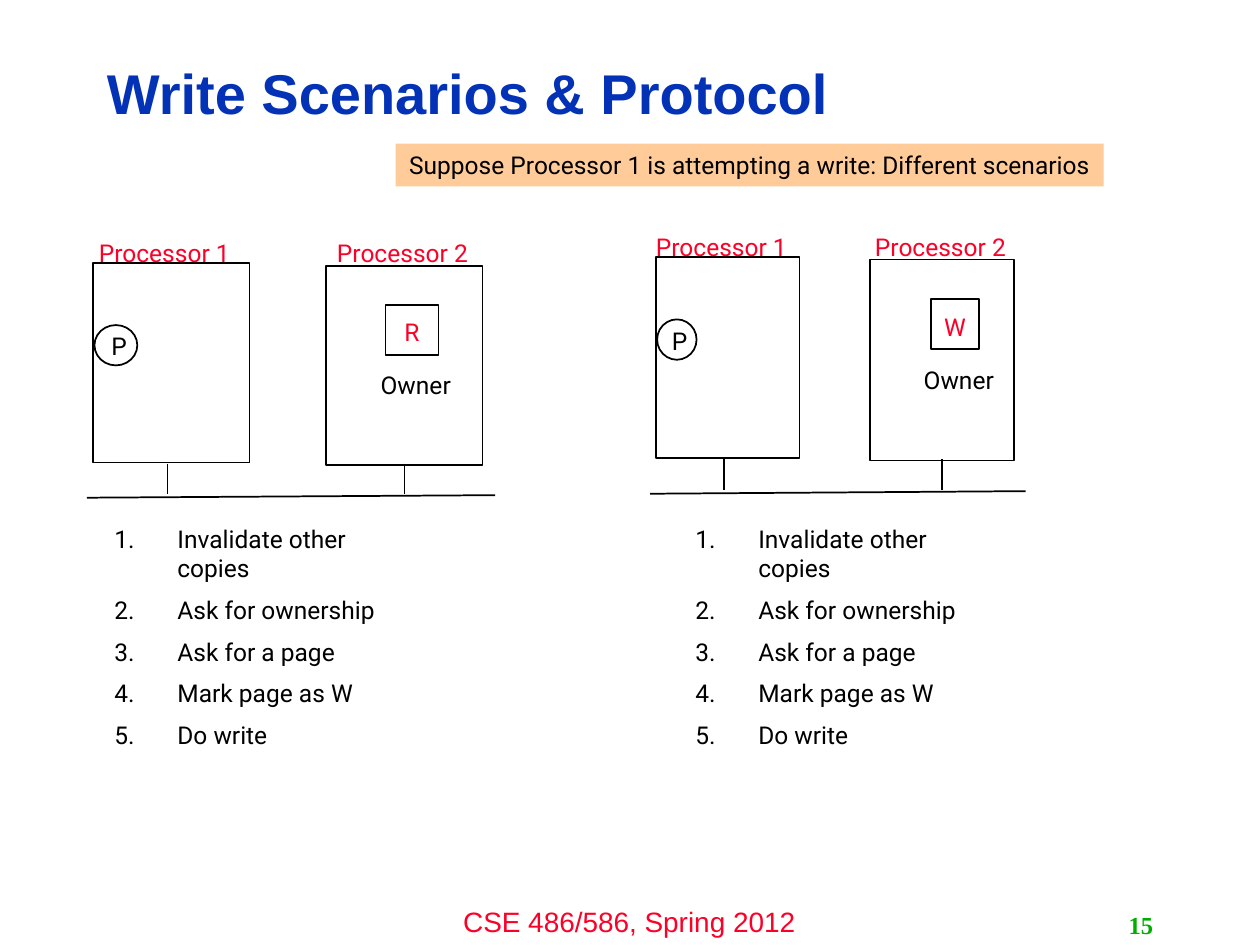
from dataclasses import dataclass

from lxml.etree import SubElement
from pptx import Presentation
from pptx.dml.color import RGBColor
from pptx.enum.shapes import MSO_CONNECTOR as Connector, MSO_SHAPE as Shape
from pptx.enum.text import MSO_ANCHOR as Anchor, PP_ALIGN as Align
from pptx.oxml.ns import qn
from pptx.util import Inches, Pt

COLUMNS, ROWS = 100, 75
SLIDE_WIDTH, SLIDE_HEIGHT = Inches(10), Inches(7.5)
LABEL_HEIGHT = 3.4
STEPS = ["Invalidate other copies", "Ask for ownership", "Ask for a page",
         "Mark page as W", "Do write"]


@dataclass(frozen=True)
class Theme:
    """Colours, fonts and type sizes of the slide."""
    black: str = "000000"
    red: str = "FC0128"
    blue: str = "0332B7"
    green: str = "00AE00"
    peach: str = "FFCC99"
    heading_font: str = "Arial"
    body_font: str = "Roboto"
    number_font: str = "Times New Roman"
    title_size: int = 32
    footer_size: int = 16
    body_size: int = 14
    line_width: int = 1
    step_gap: int = 7


@dataclass(frozen=True)
class Scenario:
    """One two-processor diagram: its place, stretch and page state."""
    left: float
    top: float
    stretch_x: float
    stretch_y: float
    page_center: float
    page_state: str
    steps_left: float

    def x(self, offset):
        """Column of an offset within the diagram."""
        return self.left + offset * self.stretch_x

    def y(self, offset):
        """Row of an offset within the diagram."""
        return self.top + offset * self.stretch_y


THEME = Theme()
SCENARIOS = [Scenario(6.9, 20.9, 1, 1, 32.7, "R", 8.1),
             Scenario(51.6, 20.4, 0.92, 1.01, 75.8, "W", 54.2)]


def grid(*lengths):
    """Turn alternating columns and rows into slide lengths."""
    units = (SLIDE_WIDTH / COLUMNS, SLIDE_HEIGHT / ROWS)
    return [round(length * units[i % 2]) for i, length in enumerate(lengths)]


def style(paragraph, size=THEME.body_size, font=THEME.body_font,
          color=THEME.black, bold=False, align=Align.CENTER):
    """Set the font and alignment of a paragraph."""
    paragraph.alignment = align
    paragraph.font.size = Pt(size)
    paragraph.font.name = font
    paragraph.font.bold = bold
    paragraph.font.color.rgb = RGBColor.from_string(color)


def add_text(shapes, text, box, anchor=Anchor.TOP, wrap=False, **look):
    """Add a one-paragraph text box and return its paragraph."""
    frame = shapes.add_textbox(*grid(*box)).text_frame
    frame.word_wrap = wrap
    frame.vertical_anchor = anchor
    paragraph = frame.paragraphs[0]
    paragraph.text = text
    style(paragraph, **look)
    return paragraph


def add_label(shapes, text, center, top, color=THEME.black):
    """Add a short label centred on a column."""
    width = 14
    add_text(shapes, text, (center - width / 2, top, width, LABEL_HEIGHT), color=color)


def add_outline(shapes, kind, box):
    """Add an unfilled shape with a thin black outline."""
    shape = shapes.add_shape(kind, *grid(*box))
    shape.shadow.inherit = False
    shape.fill.background()
    shape.line.color.rgb = RGBColor.from_string(THEME.black)
    shape.line.width = Pt(THEME.line_width)


def add_line(shapes, start, end):
    """Add a thin black straight line."""
    line = shapes.add_connector(Connector.STRAIGHT, *grid(*start, *end))
    line.line.color.rgb = RGBColor.from_string(THEME.black)
    line.line.width = Pt(THEME.line_width)
    SubElement(line._element.spPr, qn("a:effectLst"))


def add_banner(shapes, text, box):
    """Add a filled strip with centred text."""
    banner = shapes.add_shape(Shape.RECTANGLE, *grid(*box))
    banner.shadow.inherit = False
    banner.fill.solid()
    banner.fill.fore_color.rgb = RGBColor.from_string(THEME.peach)
    banner.line.fill.background()
    banner.text_frame.word_wrap = False
    banner.text_frame.text = text
    style(banner.text_frame.paragraphs[0])


def add_steps(shapes, left):
    """Add the numbered protocol steps."""
    frame = shapes.add_textbox(*grid(left, 41.1, 26, 17.5)).text_frame
    frame.word_wrap = True
    for i, step in enumerate(STEPS):
        paragraph = frame.add_paragraph() if i else frame.paragraphs[0]
        paragraph.text = step
        style(paragraph, align=Align.LEFT)
        if i:
            paragraph.space_before = Pt(THEME.step_gap)
        properties = paragraph._p.get_or_add_pPr()
        properties.set("marL", str(Inches(0.5)))
        properties.set("indent", str(-Inches(0.5)))
        SubElement(properties, qn("a:buFont"), typeface="+mj-lt")
        SubElement(properties, qn("a:buAutoNum"), type="arabicPeriod")


def add_diagram(slide, scenario):
    """Draw two processors on a bus, with the owner's page."""
    shapes = slide.shapes.add_group_shape().shapes
    x, y = scenario.x, scenario.y
    stretch_x, stretch_y = scenario.stretch_x, scenario.stretch_y
    processors = [("Processor 1", 0.5, 0, 6.4, 6.15),
                  ("Processor 2", 19, 0.2, 25.2, 25.05)]
    for name, left, top, stem, name_center in processors:
        add_outline(shapes, Shape.RECTANGLE,
                    (x(left), y(top), 12.4 * stretch_x, 15.8 * stretch_y))
        add_line(shapes, (x(stem), y(15.9)), (x(stem), y(18.3)))
        add_label(shapes, name, x(name_center), scenario.top - 2.5, THEME.red)
    add_line(shapes, (x(0), y(18.6)), (x(32.4), y(18.4)))

    add_outline(shapes, Shape.OVAL, (x(0.6), y(4.9), 3.4 * stretch_x, 3.2))
    add_label(shapes, "P", x(2.55), y(4.9))

    page_width = 4.2 * stretch_x
    center = scenario.page_center
    add_outline(shapes, Shape.RECTANGLE, (center - page_width / 2, y(3.3), page_width, 4))
    add_label(shapes, scenario.page_state, center, y(3.8), THEME.red)
    add_label(shapes, "Owner", center + 0.3, y(8))


def main():
    """Build and save the slide."""
    presentation = Presentation()
    presentation.slide_width, presentation.slide_height = SLIDE_WIDTH, SLIDE_HEIGHT
    slide = presentation.slides.add_slide(presentation.slide_layouts[6])
    shapes = slide.shapes

    add_text(shapes, "CSE 486/586, Spring 2012", (33.3, 71.3, 33.3, 3.7),
             size=THEME.footer_size, font=THEME.heading_font, color=THEME.red)
    title = add_text(shapes, "Write Scenarios & Protocol", (7.5, 3.6, 79.8, 8.1),
                     anchor=Anchor.MIDDLE, wrap=True, size=THEME.title_size,
                     font=THEME.heading_font, color=THEME.blue, bold=True,
                     align=Align.LEFT)
    title.line_spacing = 0.9
    add_text(shapes, "15", (71.7, 71.8, 20.8, 3.2), anchor=Anchor.MIDDLE, wrap=True,
             font=THEME.number_font, color=THEME.green, bold=True, align=Align.RIGHT)
    for scenario in SCENARIOS:
        add_diagram(slide, scenario)
        add_steps(shapes, scenario.steps_left)
    add_banner(shapes, "Suppose Processor 1 is attempting a write: Different scenarios",
               (31.4, 11.4, 56.2, LABEL_HEIGHT))
    presentation.save("out.pptx")


main()
